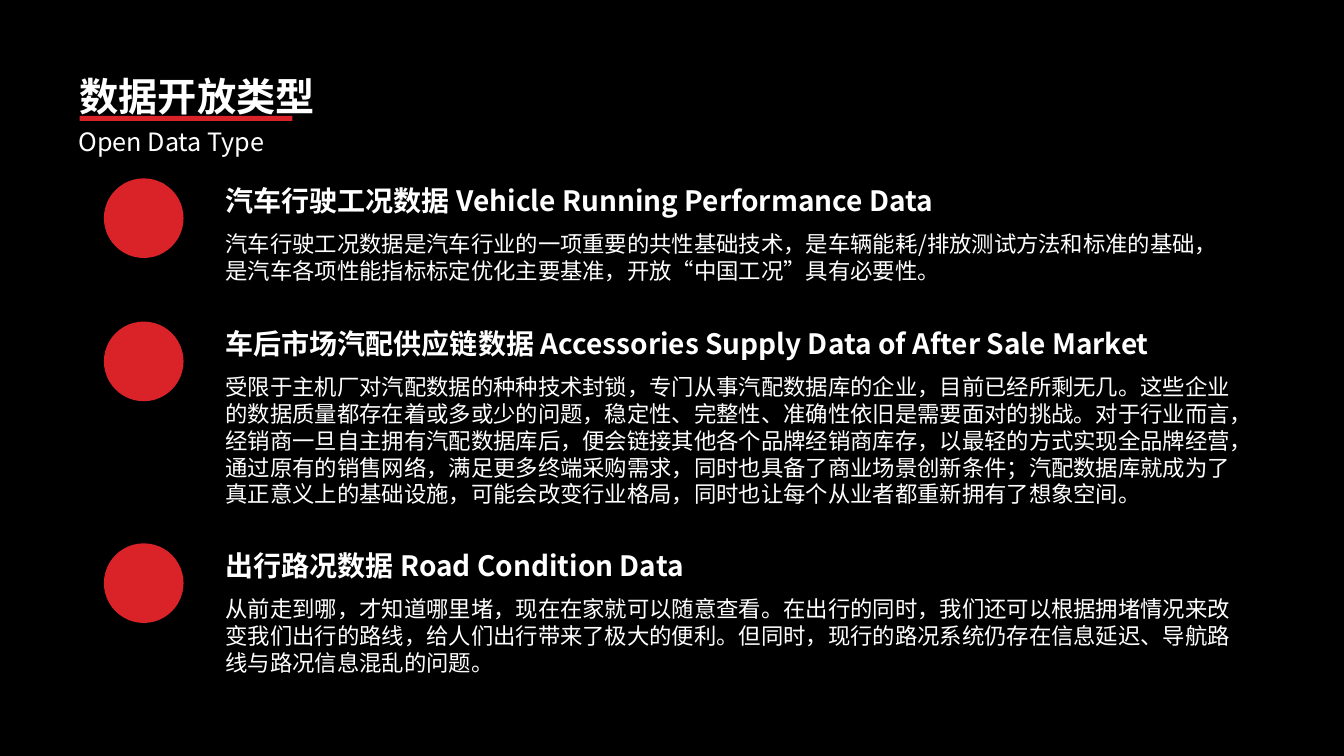
"""Build the open data type slide: a title and three described data types."""
from lxml.etree import SubElement
from pptx import Presentation
from pptx.dml.color import RGBColor
from pptx.enum.shapes import MSO_SHAPE as Shape
from pptx.enum.text import MSO_ANCHOR as Anchor, MSO_AUTO_SIZE as AutoSize, PP_ALIGN as Align
from pptx.oxml.ns import qn
from pptx.util import Pt

BLACK = RGBColor(0x00, 0x00, 0x00)
WHITE = RGBColor(0xFF, 0xFF, 0xFF)
RED = RGBColor(0xD9, 0x23, 0x28)
CHINESE_FONT = "Noto Sans CJK SC"
ENGLISH_FONT = "Noto Sans CJK JP"

TITLE = {"name": CHINESE_FONT, "size": Pt(28), "bold": True}
SUBTITLE = {"name": ENGLISH_FONT, "size": Pt(18), "bold": False}
HEADING = {"name": CHINESE_FONT, "size": Pt(20), "bold": True}
BODY = {"name": CHINESE_FONT, "size": Pt(16), "bold": False}

DATA_TYPES = [
    (127.4, 80, "汽车行驶工况数据 Vehicle Running Performance Data",
     "汽车行驶工况数据是汽车行业的一项重要的共性基础技术，是车辆能耗/排放测试方法和标准的基础，"
     "是汽车各项性能指标标定优化主要基准，开放“中国工况”具有必要性。"),
    (229.7, 138.2, "车后市场汽配供应链数据 Accessories Supply Data of After Sale Market",
     "受限于主机厂对汽配数据的种种技术封锁，专门从事汽配数据库的企业，目前已经所剩无几。"
     "这些企业的数据质量都存在着或多或少的问题，稳定性、完整性、准确性依旧是需要面对的挑战。"
     "对于行业而言，经销商一旦自主拥有汽配数据库后，便会链接其他各个品牌经销商库存，"
     "以最轻的方式实现全品牌经营，通过原有的销售网络，满足更多终端采购需求，"
     "同时也具备了商业场景创新条件；汽配数据库就成为了真正意义上的基础设施，"
     "可能会改变行业格局，同时也让每个从业者都重新拥有了想象空间。"),
    (388.1, 99.4, "出行路况数据 Road Condition Data",
     "从前走到哪，才知道哪里堵，现在在家就可以随意查看。在出行的同时，"
     "我们还可以根据拥堵情况来改变我们出行的路线，给人们出行带来了极大的便利。"
     "但同时，现行的路况系统仍存在信息延迟、导航路线与路况信息混乱的问题。"),
]


def set_all(target, values):
    """Set every attribute named in a dict of format values."""
    for name, value in values.items():
        setattr(target, name, value)


def write(para, text, font_format, line_height, gap=0):
    """Write white text with an exact line height into a paragraph."""
    set_all(para, {"alignment": Align.LEFT, "line_spacing": Pt(line_height),
                   "space_before": Pt(gap), "space_after": Pt(0)})
    span = para.add_run()
    span.text = text
    set_all(span.font, font_format)
    span.font.color.rgb = WHITE
    east_asian = SubElement(span.font._element, qn("a:ea"))
    east_asian.set("typeface", font_format["name"])


def add_red_shape(shapes, kind, left, top, width, height):
    """Add a plain red shape."""
    shape = shapes.add_shape(kind, Pt(left), Pt(top), Pt(width), Pt(height))
    shape.shadow.inherit = False
    shape.fill.solid()
    shape.fill.fore_color.rgb = RED
    shape.line.fill.background()


def add_text_box(shapes, left, top, width, height):
    """Add a wrapping text box and return its text frame."""
    frame = shapes.add_textbox(Pt(left), Pt(top), Pt(width), Pt(height)).text_frame
    set_all(frame, {"word_wrap": True, "auto_size": AutoSize.SHAPE_TO_FIT_TEXT})
    return frame


def add_title(page, text):
    """Place and format the title placeholder."""
    title = page.shapes.title
    set_all(title, {"left": Pt(56.9), "top": Pt(49), "width": Pt(167.8), "height": Pt(58.3)})
    frame = title.text_frame
    set_all(frame, {"margin_left": 0, "margin_top": 0, "margin_right": 0,
                    "margin_bottom": Pt(3.6), "word_wrap": False,
                    "auto_size": AutoSize.NONE, "vertical_anchor": Anchor.TOP})
    write(frame.paragraphs[0], text, TITLE, 36)


def add_data_type(page, top, height, heading, body):
    """Add one group with a red dot, a heading and a description."""
    group = page.shapes.add_group_shape()
    add_red_shape(group.shapes, Shape.OVAL, 74.2, top, 56.9, 56.9)
    frame = add_text_box(group.shapes, 154.1, top, 735.8, height)
    write(frame.paragraphs[0], heading, HEADING, 24)
    write(frame.add_paragraph(), body, BODY, 19.1, gap=9.6)


def main():
    """Build and save the deck."""
    deck = Presentation()
    set_all(deck, {"slide_width": Pt(960), "slide_height": Pt(540)})
    page = deck.slides.add_slide(deck.slide_layouts[5])
    page.background.fill.solid()
    page.background.fill.fore_color.rgb = BLACK
    add_title(page, "数据开放类型")
    for data_type in DATA_TYPES:
        add_data_type(page, *data_type)
    subtitle = add_text_box(page.shapes, 49, 86.4, 258.5, 28.8)
    write(subtitle.paragraphs[0], "Open Data Type", SUBTITLE, 21.6)
    add_red_shape(page.shapes, Shape.RECTANGLE, 56.9, 82.8, 152, 3.6)
    deck.save("out.pptx")


if __name__ == "__main__":
    main()
